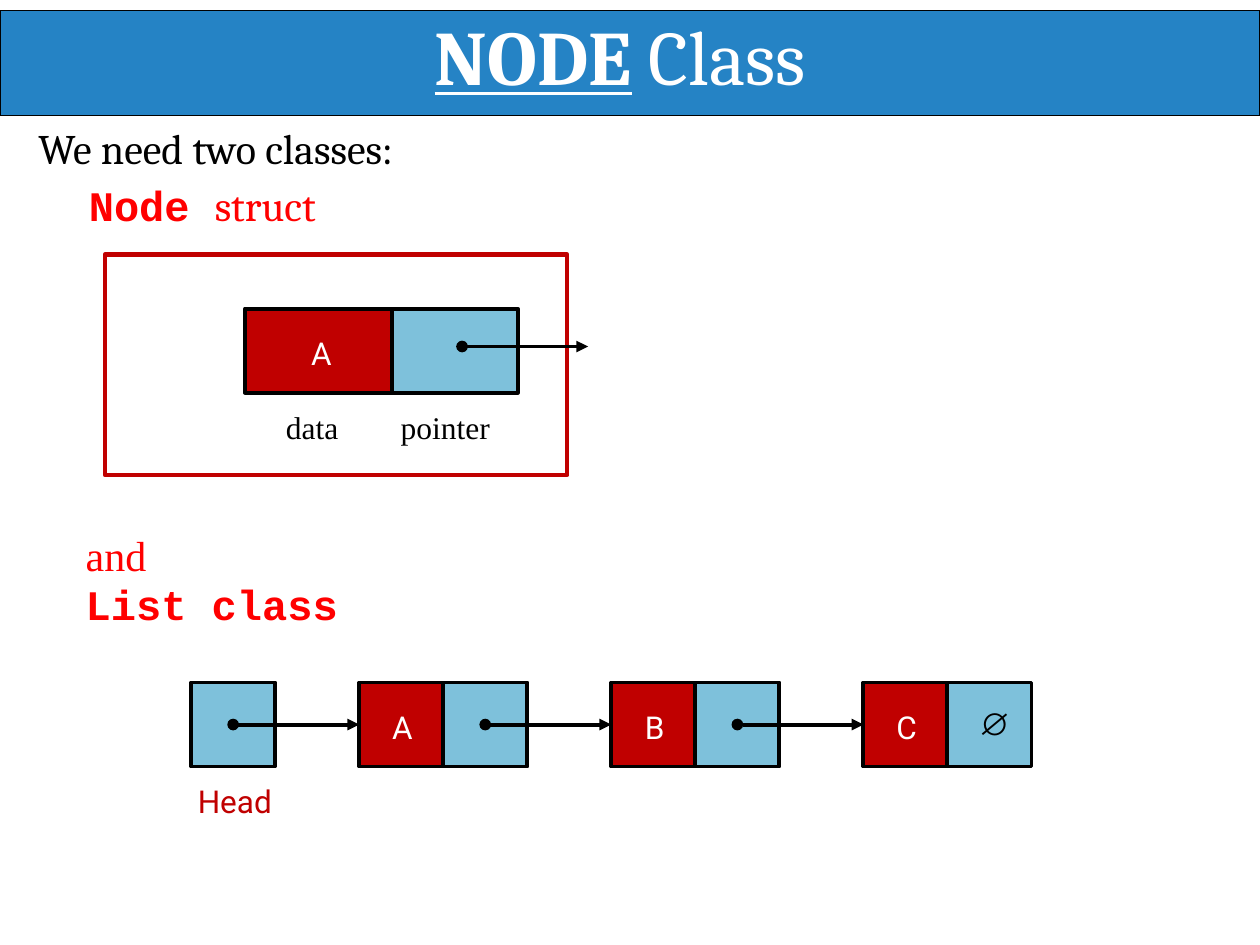
from lxml import etree
from pptx import Presentation
from pptx.dml.color import RGBColor
from pptx.enum.shapes import MSO_CONNECTOR, MSO_SHAPE
from pptx.enum.text import MSO_ANCHOR, MSO_AUTO_SIZE, PP_ALIGN
from pptx.oxml.ns import qn
from pptx.util import Emu, Inches, Pt

WHITE = RGBColor(0xFF, 0xFF, 0xFF)
BLACK = RGBColor(0x00, 0x00, 0x00)
BANNER_BLUE = RGBColor(0x25, 0x83, 0xC5)
POINTER_BLUE = RGBColor(0x7E, 0xC1, 0xDB)
DATA_RED = RGBColor(0xC0, 0x00, 0x00)
TEXT_RED = RGBColor(0xFF, 0x00, 0x00)

RECTANGLE = MSO_SHAPE.RECTANGLE
STRAIGHT = MSO_CONNECTOR.STRAIGHT
TOP = MSO_ANCHOR.TOP
NO_AUTOFIT = MSO_AUTO_SIZE.NONE
LEFT, CENTER = PP_ALIGN.LEFT, PP_ALIGN.CENTER

COLUMNS, ROWS = 100, 75


def write(paragraph, text, font="Roboto", size=18, color=BLACK, bold=False, underline=False):
    """Add one formatted run to a paragraph."""
    run = paragraph.add_run()
    run.text = text
    run.font.name = font
    run.font.size = Pt(size)
    run.font.color.rgb = color
    run.font.bold = bold
    run.font.underline = underline


class Diagram:
    """Draws on one slide; lengths are columns and rows of the grid."""

    line_width = 2.25

    def __init__(self, deck):
        self.slide = deck.slides.add_slide(deck.slide_layouts[1])
        self.shapes = self.slide.shapes
        self.column = deck.slide_width / COLUMNS
        self.row = deck.slide_height / ROWS

    def place(self, x, y, width, height):
        return (Emu(round(x * self.column)), Emu(round(y * self.row)),
                Emu(round(width * self.column)), Emu(round(height * self.row)))

    def frame(self, shape, inset=0.01, wrap=True):
        text_frame = shape.text_frame
        text_frame.margin_left = text_frame.margin_right = text_frame.margin_bottom = 0
        text_frame.margin_top = Inches(inset)
        text_frame.vertical_anchor = TOP
        text_frame.auto_size = NO_AUTOFIT
        text_frame.word_wrap = wrap
        return text_frame

    def paragraph(self, frame, indent=0, align=LEFT, before=0, spacing=None):
        first = frame.paragraphs[0]
        paragraph = frame.add_paragraph() if first.runs else first
        paragraph.alignment = align
        paragraph.space_before = Pt(before)
        paragraph.line_spacing = spacing
        properties = paragraph._p.get_or_add_pPr()
        properties.set("marL", str(Inches(indent)))
        properties.set("indent", "0")
        etree.SubElement(properties, qn("a:buNone"))
        return paragraph

    def placeholder(self, index, area, inset):
        holder = self.slide.placeholders[index]
        holder.left, holder.top, holder.width, holder.height = self.place(*area)
        return self.frame(holder, inset)

    def text_box(self, area, wrap=True):
        return self.frame(self.shapes.add_textbox(*self.place(*area)), wrap=wrap)

    def label(self, area, text, **style):
        write(self.paragraph(self.text_box(area, wrap=False)), text, **style)

    def box(self, area, fill=None, line=BLACK, width=line_width):
        shape = self.shapes.add_shape(RECTANGLE, *self.place(*area))
        shape.shadow.inherit = False
        if fill is None:
            shape.fill.background()
        else:
            shape.fill.solid()
            shape.fill.fore_color.rgb = fill
        shape.line.color.rgb = line
        shape.line.width = Pt(width)
        return shape

    def cell(self, area, fill, text="", inset=0.2, indent=0.02, align=CENTER, **style):
        shape = self.box(area, fill)
        if text:
            frame = self.frame(shape, inset)
            write(self.paragraph(frame, indent, align), text, **style)

    def arrow(self, x, y, length=10):
        left, top, width, _ = self.place(x, y, length, 0)
        connector = self.shapes.add_connector(STRAIGHT, left, top, left + width, top)
        connector.line.color.rgb = BLACK
        connector.line.width = Pt(self.line_width)
        line = connector.line._get_or_add_ln()
        etree.SubElement(line, qn("a:headEnd"), type="oval")
        etree.SubElement(line, qn("a:tailEnd"), type="triangle")
        etree.SubElement(connector._element.spPr, qn("a:effectLst"))

    def send_to_back(self, shape):
        self.shapes._spTree.insert(2, shape._element)


def main():
    deck = Presentation()
    deck.slide_width, deck.slide_height = Inches(10), Inches(7.5)
    diagram = Diagram(deck)

    # Title on its banner
    banner = diagram.box((0, 0.83, COLUMNS, 8.33), BANNER_BLUE, width=0.75)
    diagram.send_to_back(banner)
    title = diagram.paragraph(diagram.placeholder(0, (9.4, 0.6, 81.2, 8), 0.01), indent=2.51)
    title_style = dict(font="Cambria", size=44, color=WHITE)
    write(title, "NODE", bold=True, underline=True, **title_style)
    write(title, " Class", **title_style)

    # Introduction
    intro = diagram.placeholder(1, (2.95, 9, 30.4, 9.4), 0.07)
    write(diagram.paragraph(intro, 0.01), "We need two classes:", font="Cambria", size=24)
    struct_line = diagram.paragraph(intro, 0.41, before=4.1)
    write(struct_line, "Node ", font="Courier New", size=24, color=TEXT_RED, bold=True)
    write(struct_line, "struct", font="Cambria", size=24, color=TEXT_RED)

    # Single node
    node_top, node_height = 24.5, 6.67
    diagram.cell((31.1, node_top, 10, node_height), POINTER_BLUE)
    diagram.cell((19.45, node_top, 11.65, node_height), DATA_RED)
    diagram.label((24.7, 26.4, 1.6, 3.3), "A", color=WHITE)
    diagram.label((22.7, 32.3, 4.3, 3.3), "data", font="Times New Roman")
    diagram.label((31.8, 32.3, 7.2, 3.3), "pointer", font="Times New Roman")
    diagram.box((8.33, 20.2, 36.7, 17.5), line=DATA_RED, width=2.5)
    diagram.arrow(36.67, 27.5)

    # List class heading
    heading = diagram.text_box((6.7, 42, 20.2, 8.1))
    write(diagram.paragraph(heading, 0.01, spacing=Pt(28.1)), "and",
          font="Times New Roman", size=24, color=TEXT_RED)
    write(diagram.paragraph(heading, 0.01, spacing=Pt(28.1)), "List class",
          font="Courier New", size=24, color=TEXT_RED, bold=True)

    # Linked list: the head, then nodes at an equal pitch
    head_left, list_top, side = 15.17, 54.17, 6.67
    pitch = 3 * side
    arrow_y = list_top + side / 2
    diagram.cell((head_left, list_top, side, side), POINTER_BLUE)
    diagram.label((15.7, 62, 6, 3.3), "Head", color=DATA_RED)
    diagram.arrow(head_left + side / 2, arrow_y)

    values = "ABC"
    for position, value in enumerate(values):
        data_left = head_left + 2 * side + position * pitch
        pointer_left = data_left + side
        pointer_area = (pointer_left, list_top, side, side)
        diagram.cell((data_left, list_top, side, side), DATA_RED, value, color=WHITE)
        if value == values[-1]:
            diagram.cell(pointer_area, POINTER_BLUE, "∅", inset=0.17, indent=0.25,
                         align=LEFT, font="Arial")
        else:
            diagram.cell(pointer_area, POINTER_BLUE)
            diagram.arrow(pointer_left + side / 2, arrow_y)

    deck.save("out.pptx")


if __name__ == "__main__":
    main()
